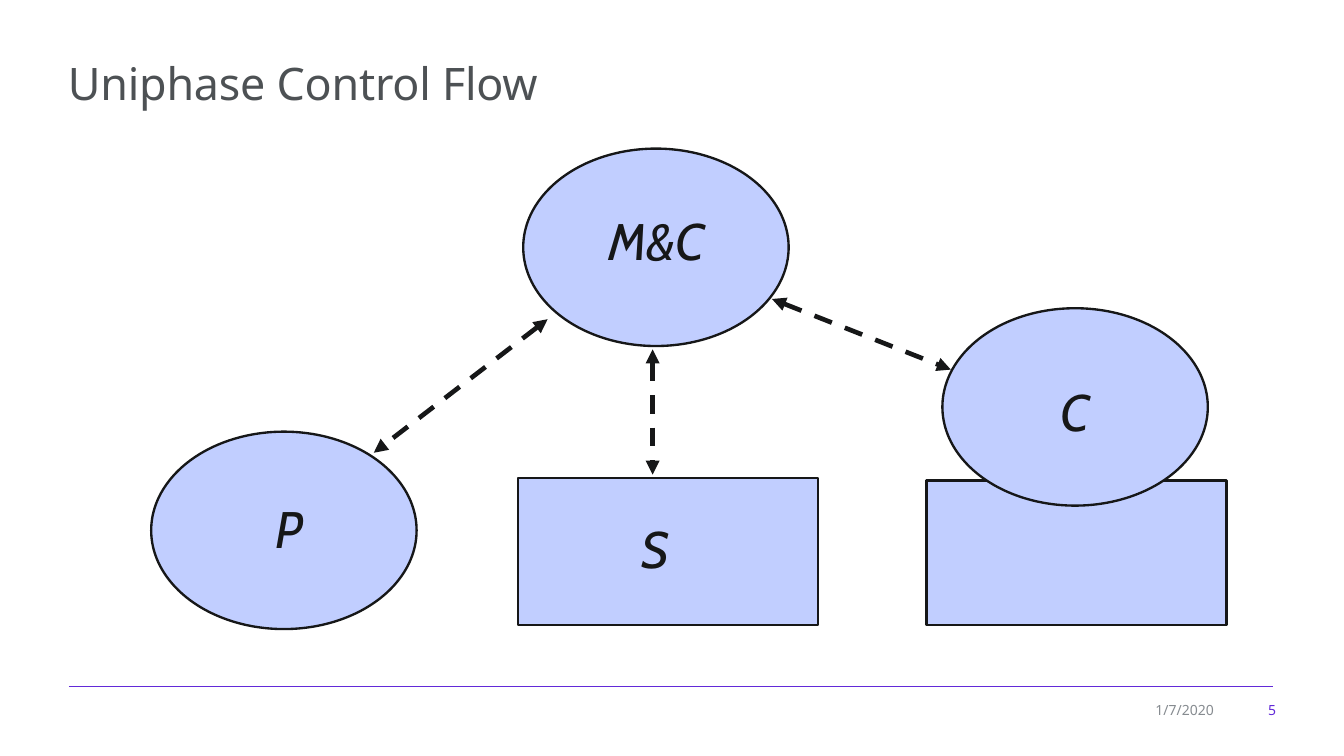
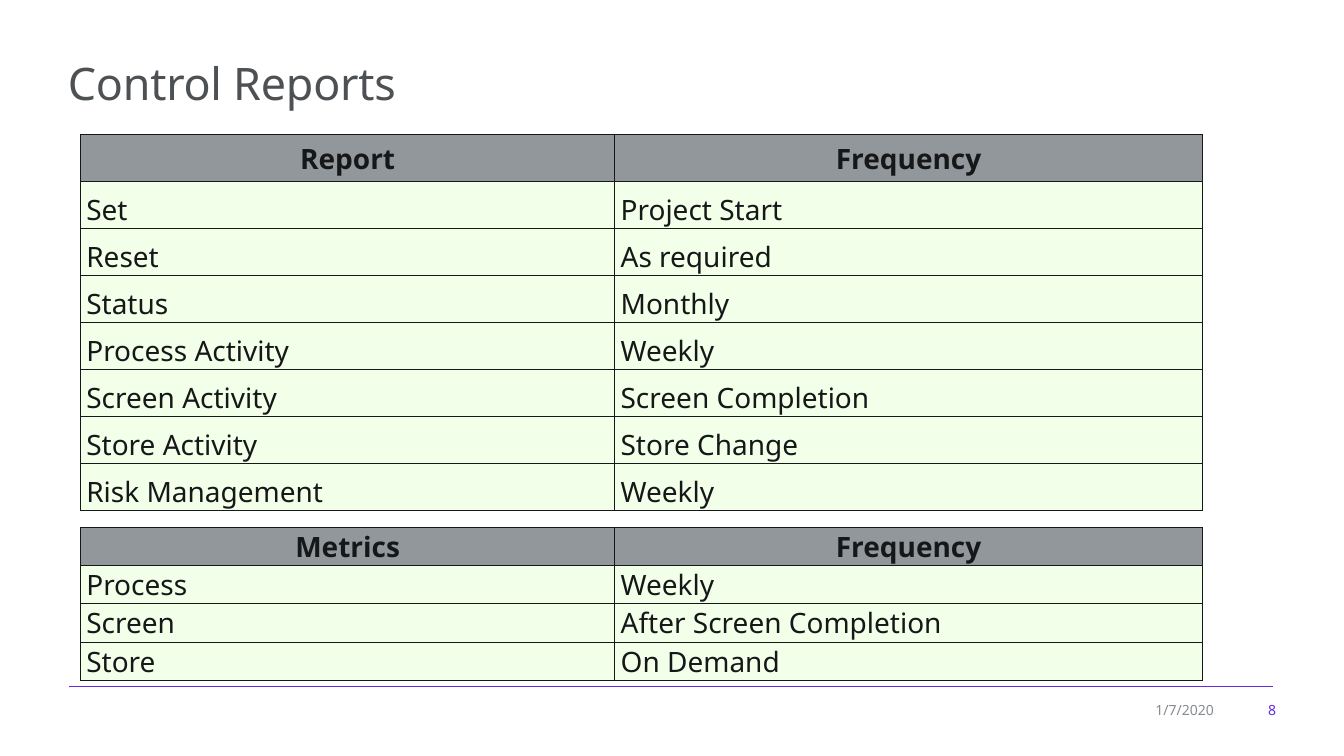
import lxml.etree
import pptx
import pptx.dml.color
import pptx.enum.dml
import pptx.enum.shapes
import pptx.enum.text
import pptx.oxml.ns
import pptx.util

Pt = pptx.util.Pt
ALIGN = pptx.enum.text.PP_ALIGN
ANCHOR = pptx.enum.text.MSO_ANCHOR
SHAPE = pptx.enum.shapes.MSO_SHAPE
COLORS = {
    "title": "4D5154",
    "ink": "161718",
    "accent": "622AD8",
    "muted": "868B90",
    "node": "C1CEFF",
    "header": "92979B",
    "row": "F2FFE9",
}
FONT = "Noto Sans"
LABEL_FONT = "Cabin"
ELLIPSE_SIZE = (227.5, 169.2)


def color_of(name):
    return pptx.dml.color.RGBColor.from_string(COLORS[name])


def add_xml(parent, tag, **attributes):
    element = lxml.etree.SubElement(parent, pptx.oxml.ns.qn(tag))
    for name, value in attributes.items():
        element.set(name, value)
    return element


def write(frame, text, size=24, color="ink", font=FONT, bold=False, italic=False,
          align=ALIGN.LEFT, anchor=ANCHOR.TOP, wrap=True, margins=(7.2, 0),
          spacing=0, tracking=None):
    frame.word_wrap = wrap
    frame.auto_size = pptx.enum.text.MSO_AUTO_SIZE.NONE
    frame.vertical_anchor = anchor
    frame.margin_left = frame.margin_right = Pt(margins[0])
    frame.margin_top = frame.margin_bottom = Pt(margins[1])
    write_paragraph(frame.paragraphs[0], text, size, color, font, bold, italic,
                    align, spacing, tracking)


def write_paragraph(paragraph, text, size, color, font, bold, italic, align,
                    spacing, tracking=None):
    paragraph.alignment = align
    paragraph.line_spacing = 1.0
    paragraph.space_before = paragraph.space_after = Pt(spacing)
    run = paragraph.add_run()
    run.text = text
    run.font.name = font
    run.font.size = Pt(size)
    run.font.bold = bold
    run.font.italic = italic
    run.font.color.rgb = color_of(color)
    if tracking is not None:
        run.font._element.set("spc", str(round(tracking * 100)))


class Deck:
    def __init__(self):
        self.presentation = pptx.Presentation()
        self.presentation.slide_width = Pt(1152)
        self.presentation.slide_height = Pt(648)
        self.slide = None

    def add_slide(self, title, number):
        layout = self.presentation.slide_layouts[5]
        self.slide = self.presentation.slides.add_slide(layout)
        shape = self.slide.shapes.title
        shape.left, shape.top = Pt(51), Pt(47.5)
        shape.width, shape.height = Pt(1050.5), Pt(54)
        write(shape.text_frame, title, size=38.4, color="title", tracking=-0.2)
        self.line((59, 588.2), (1091.5, 588.2), "accent", 0.75)
        footer = {"size": 12, "align": ALIGN.RIGHT, "anchor": ANCHOR.MIDDLE}
        self.text(number, 1057, 597.6, 44, 22.3, color="accent", **footer)
        self.text("1/7/2020", 965.5, 597.6, 82, 22.3, color="muted", **footer)

    def text(self, text, left, top, width, height, **style):
        box = self.slide.shapes.add_textbox(Pt(left), Pt(top), Pt(width), Pt(height))
        write(box.text_frame, text, **style)

    def label(self, text, left, top, width):
        self.text(text, left, top, width, 69, size=44, font=LABEL_FONT, italic=True,
                  align=ALIGN.CENTER, wrap=False, margins=(7.2, 3.6))

    def node(self, kind, left, top, width, height):
        shape = self.slide.shapes.add_shape(kind, Pt(left), Pt(top), Pt(width), Pt(height))
        shape.shadow.inherit = False
        shape.fill.solid()
        shape.fill.fore_color.rgb = color_of("node")
        shape.line.color.rgb = color_of("ink")
        shape.line.width = Pt(2)

    def line(self, start, end, color, width):
        connector = self.slide.shapes.add_connector(
            pptx.enum.shapes.MSO_CONNECTOR.STRAIGHT, *map(Pt, start + end))
        connector.line.color.rgb = color_of(color)
        connector.line.width = Pt(width)
        add_xml(connector._element.spPr, "a:effectLst")
        return connector

    def double_arrow(self, start, end):
        connector = self.line(start, end, "ink", 4)
        connector.line.dash_style = pptx.enum.dml.MSO_LINE.DASH
        outline = connector.line._get_or_add_ln()
        for tag in ("a:headEnd", "a:tailEnd"):
            add_xml(outline, tag, type="triangle")

    def table(self, rows, top, row_height, body_anchor):
        widths = (458, 503.5)
        frame = self.slide.shapes.add_table(
            len(rows), len(widths), Pt(69), Pt(top), Pt(sum(widths)),
            Pt(row_height * len(rows)))
        table = frame.table
        table.horz_banding = False
        for column, width in zip(table.columns, widths):
            column.width = Pt(width)
        for row_index, texts in enumerate(rows):
            table.rows[row_index].height = Pt(row_height)
            for column_index, text in enumerate(texts):
                self.cell(table.cell(row_index, column_index), text,
                          row_index == 0, body_anchor)

    def cell(self, cell, text, is_header, body_anchor):
        cell.margin_left = cell.margin_right = Pt(5)
        cell.margin_top = cell.margin_bottom = 0
        cell.vertical_anchor = ANCHOR.MIDDLE if is_header else body_anchor
        properties = cell._tc.get_or_add_tcPr()
        for tag in ("a:lnL", "a:lnR", "a:lnT", "a:lnB"):
            border = add_xml(properties, tag, w=str(Pt(1)))
            add_xml(add_xml(border, "a:solidFill"), "a:srgbClr", val=COLORS["ink"])
        cell.fill.solid()
        cell.fill.fore_color.rgb = color_of("header" if is_header else "row")
        write_paragraph(cell.text_frame.paragraphs[0], text, 24, "ink", FONT,
                        is_header, False,
                        ALIGN.CENTER if is_header else ALIGN.JUSTIFY, 1)


def build_control_flow(deck):
    deck.add_slide("Uniphase Control Flow", "5")
    for kind, left, top, size in (
        (SHAPE.OVAL, 448.5, 127.4, ELLIPSE_SIZE),
        (SHAPE.OVAL, 129.6, 370, ELLIPSE_SIZE),
        (SHAPE.RECTANGLE, 444.2, 409.7, (257, 126)),
        (SHAPE.RECTANGLE, 794.2, 411.8, (257, 123.9)),
        (SHAPE.OVAL, 807.8, 264.2, ELLIPSE_SIZE),
    ):
        deck.node(kind, left, top, *size)
    for start, end in (
        ((469.4, 273.6), (320.4, 388.1)),
        ((559.4, 299.5), (559.4, 406.8)),
        ((661.7, 256.3), (815, 316.8)),
    ):
        deck.double_arrow(start, end)
    for text, left, top, width in (
        ("M&C", 481, 175.7, 163.4),
        ("P", 217.4, 422.6, 60.5),
        ("S", 534.2, 439.9, 55.4),
        ("C", 889.9, 322.6, 62.6),
    ):
        deck.label(text, left, top, width)


def build_control_reports(deck):
    deck.add_slide("Control Reports", "8")
    reports = (
        ("Report", "Frequency"),
        ("Set", "Project Start"),
        ("Reset", "As required"),
        ("Status", "Monthly"),
        ("Process Activity", "Weekly"),
        ("Screen Activity", "Screen Completion"),
        ("Store Activity", "Store Change"),
        ("Risk Management", "Weekly"),
    )
    metrics = (
        ("Metrics", "Frequency"),
        ("Process", "Weekly"),
        ("Screen", "After Screen Completion"),
        ("Store", "On Demand"),
    )
    deck.table(reports, 115.6, 40.25, ANCHOR.BOTTOM)
    deck.table(metrics, 452, 32.6, ANCHOR.TOP)


def main():
    deck = Deck()
    build_control_flow(deck)
    build_control_reports(deck)
    deck.presentation.save("out.pptx")


if __name__ == "__main__":
    main()
